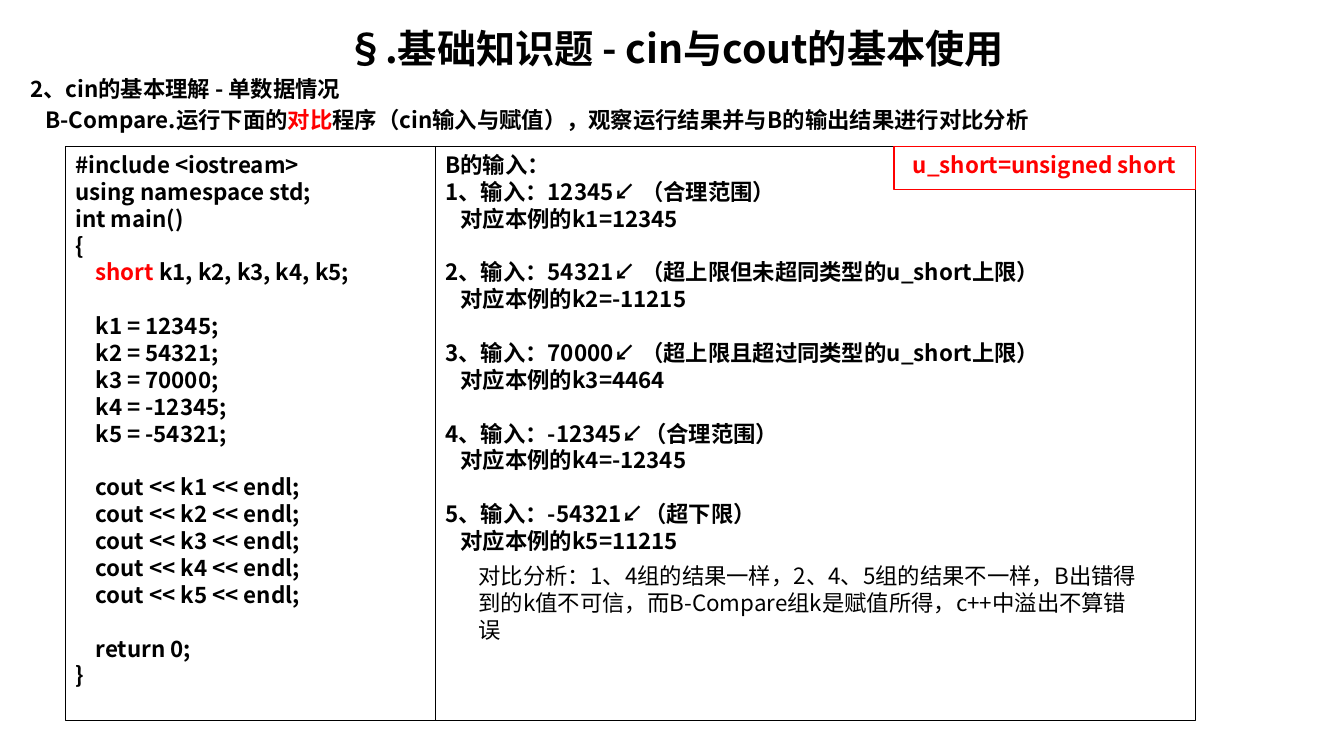
from dataclasses import dataclass

from lxml import etree
from pptx import Presentation
from pptx.dml.color import RGBColor
from pptx.enum.shapes import MSO_SHAPE
from pptx.enum.text import MSO_ANCHOR, MSO_AUTO_SIZE, PP_ALIGN
from pptx.oxml.ns import qn
from pptx.util import Pt

RECT = MSO_SHAPE.RECTANGLE
TOP = MSO_ANCHOR.TOP
NO_FIT, GROW = MSO_AUTO_SIZE.NONE, MSO_AUTO_SIZE.SHAPE_TO_FIT_TEXT
LEFT, CENTER = PP_ALIGN.LEFT, PP_ALIGN.CENTER


@dataclass(frozen=True)
class Theme:
    font: str = "Noto Sans CJK SC"
    ink: RGBColor = RGBColor(0, 0, 0)
    accent: RGBColor = RGBColor(255, 0, 0)
    title: int = 28
    body: int = 16
    leading: float = 1.2
    line: float = 0.75


@dataclass(frozen=True)
class Line:
    text: str
    indent: float = 0
    before: float = 0
    after: float = 0


THEME = Theme()
GAP = THEME.body * THEME.leading
CODE_INDENT, ANSWER_INDENT = 14.4, 11


def write(tf, lines, *, size=THEME.body, color=THEME.ink, bold=True,
          align=LEFT, marked="", fit=NO_FIT):
    tf.word_wrap = True
    tf.auto_size = fit
    tf.vertical_anchor = TOP
    tf.margin_left = tf.margin_right = Pt(7.2)
    tf.margin_top = tf.margin_bottom = Pt(3.6)
    for i, line in enumerate(lines):
        p = tf.add_paragraph() if i else tf.paragraphs[0]
        p.alignment = align
        p.line_spacing = Pt(size * THEME.leading)
        p.space_before, p.space_after = Pt(line.before), Pt(line.after)
        pPr = p._p.get_or_add_pPr()
        pPr.set("marL", str(Pt(line.indent)))
        pPr.set("indent", "0")
        parts = line.text.partition(marked) if marked else (line.text,)
        for part in filter(None, parts):
            r = p.add_run()
            r.text = part
            r.font.size, r.font.bold = Pt(size), bold
            r.font.name = THEME.font
            r.font.color.rgb = THEME.accent if part == marked else color
            etree.SubElement(r._r.get_or_add_rPr(), qn("a:ea"), typeface=THEME.font)


class Deck:
    def __init__(self, theme):
        self.theme = theme
        self.prs = Presentation()
        self.prs.slide_width, self.prs.slide_height = Pt(960), Pt(540)
        self.s = None

    def slide(self):
        self.s = self.prs.slides.add_slide(self.prs.slide_layouts[5])

    def title(self, text, x, y, w, h):
        sp = self.s.shapes.title
        sp.left, sp.top, sp.width, sp.height = map(Pt, (x, y, w, h))
        write(sp.text_frame, [Line(text)], size=self.theme.title, align=CENTER)

    def text(self, lines, x, y, w, h, **style):
        sp = self.s.shapes.add_textbox(*map(Pt, (x, y, w, h)))
        write(sp.text_frame, lines, **style)

    def box(self, lines, x, y, w, h, line=None, **style):
        sp = self.s.shapes.add_shape(RECT, *map(Pt, (x, y, w, h)))
        sp.shadow.inherit = False
        sp.fill.background()
        sp.line.color.rgb = line or self.theme.ink
        sp.line.width = Pt(self.theme.line)
        write(sp.text_frame, lines, **style)


def code_lines():
    names = [f"k{i}" for i in range(1, 6)]
    values = [12345, 54321, 70000, -12345, -54321]
    groups = [
        [f"short {', '.join(names)};"],
        [f"{k} = {v};" for k, v in zip(names, values)],
        [f"cout << {k} << endl;" for k in names],
        ["return 0;"],
    ]
    lines = [Line(t) for t in ("#include <iostream>", "using namespace std;", "int main()", "{")]
    for g, group in enumerate(groups):
        for i, text in enumerate(group):
            lines.append(Line(text, CODE_INDENT, GAP if g and not i else 0))
    return lines + [Line("}")]


def input_lines():
    cases = [
        ("12345↙ （合理范围）", 12345),
        ("54321↙ （超上限但未超同类型的u_short上限）", -11215),
        ("70000↙ （超上限且超过同类型的u_short上限）", 4464),
        ("-12345↙（合理范围）", -12345),
        ("-54321↙（超下限）", 11215),
    ]
    lines = [Line("B的输入：")]
    for n, (entry, result) in enumerate(cases, 1):
        lines.append(Line(f"{n}、输入：{entry}", before=GAP if n > 1 else 0))
        lines.append(Line(f"对应本例的k{n}={result}", ANSWER_INDENT))
    return lines


def main():
    x, y, w, h = 46.8, 104.4, 807.1, 410.4
    code_w, note_w = 264.2, 215.3
    deck = Deck(THEME)
    deck.slide()
    deck.title("§.基础知识题 - cin与cout的基本使用", 14.4, 14, 935.3, 41)
    deck.text([
        Line("2、cin的基本理解 - 单数据情况", after=3.4),
        Line("B-Compare.运行下面的对比程序（cin输入与赋值），观察运行结果并与B的输出结果进行对比分析",
             ANSWER_INDENT),
    ], 14.4, 50, 935.3, 50, marked="对比")
    deck.box(code_lines(), x, y, code_w, h, marked="short")
    deck.box(input_lines(), x + code_w, y, w - code_w, h)
    deck.box([Line("u_short=unsigned short")], x + w - note_w, y, note_w, 31,
             line=THEME.accent, color=THEME.accent, align=CENTER)
    deck.text([Line("对比分析：1、4组的结果一样，2、4、5组的结果不一样，B出错得到的k值不可信，"
                    "而B-Compare组k是赋值所得，c++中溢出不算错误")],
              334.8, 398.2, 485.3, 65, bold=False, fit=GROW)
    deck.prs.save("out.pptx")


if __name__ == "__main__":
    main()
